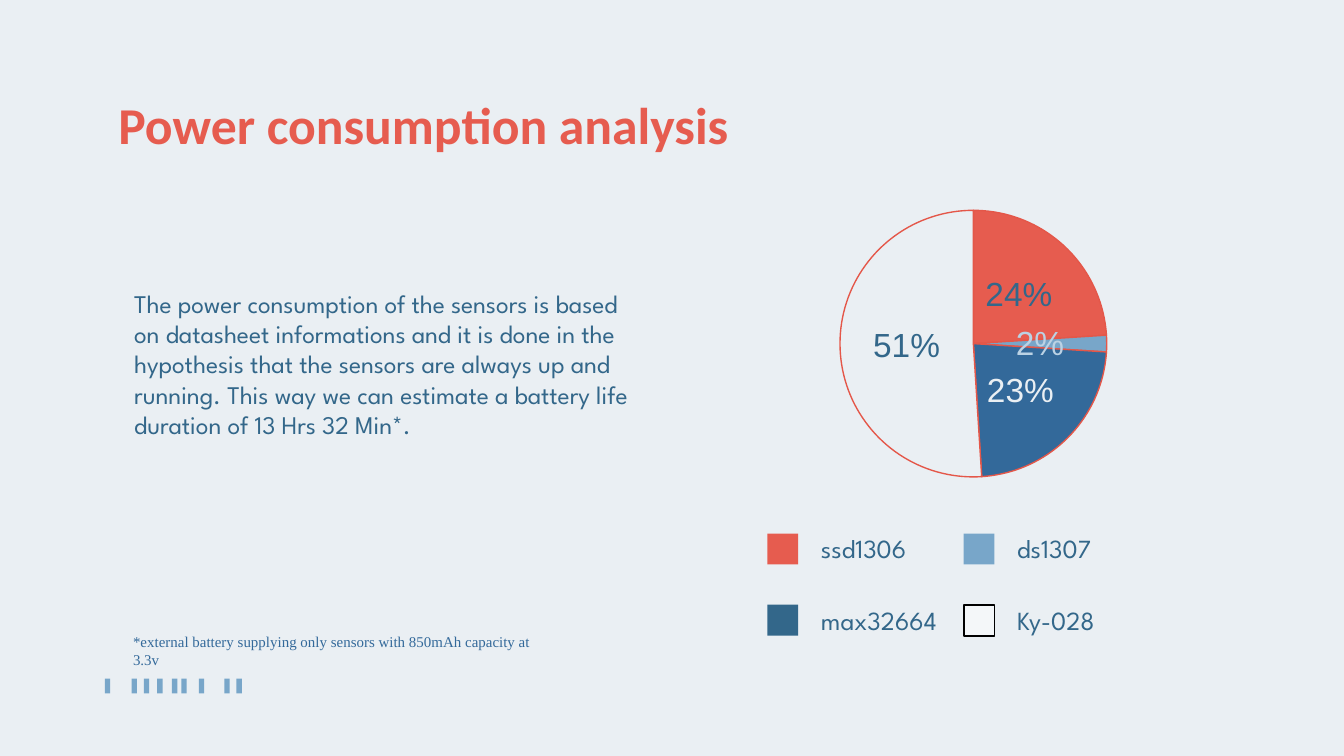
"""Build the power consumption slide with its pie chart and legend."""
from dataclasses import dataclass
from typing import Optional

from pptx import Presentation
from pptx.chart.data import CategoryChartData
from pptx.dml.color import RGBColor
from pptx.enum.chart import XL_CHART_TYPE, XL_LABEL_POSITION
from pptx.enum.shapes import MSO_SHAPE
from pptx.enum.text import MSO_ANCHOR, PP_ALIGN
from pptx.util import Inches, Pt

PIE = XL_CHART_TYPE.PIE
CENTER = XL_LABEL_POSITION.CENTER
RECTANGLE = MSO_SHAPE.RECTANGLE
TOP = MSO_ANCHOR.TOP
MIDDLE = MSO_ANCHOR.MIDDLE
LEFT = PP_ALIGN.LEFT

BACKGROUND = RGBColor(0xEA, 0xEF, 0xF3)
CORAL = RGBColor(0xE6, 0x5C, 0x4F)
OUTLINE = RGBColor(0xE4, 0x57, 0x49)
SKY = RGBColor(0x78, 0xA6, 0xC9)
PALE_SKY = RGBColor(0xBB, 0xD2, 0xE4)
TEAL = RGBColor(0x33, 0x67, 0x8A)
BLUE = RGBColor(0x33, 0x69, 0x9A)
ICE = RGBColor(0xF4, 0xF7, 0xF9)
BLACK = RGBColor(0, 0, 0)

SLIDE_WIDTH = Inches(10)
SLIDE_HEIGHT = SLIDE_WIDTH * 9 // 16
BODY_FONT = "League Spartan"
BAR_LEFTS = (0.78, 0.98, 1.07, 1.17, 1.28, 1.35, 1.48, 1.67, 1.76)
BODY_TEXT = (
    "The power consumption of the sensors is based on datasheet informations "
    "and it is done in the hypothesis that the sensors are always up and running. "
    "This way we can estimate a battery life duration of 13 Hrs 32 Min*."
)
FOOTNOTE = "*external battery supplying only sensors with 850mAh capacity at 3.3v"


@dataclass(frozen=True)
class Sensor:
    name: str
    share: int
    slice_color: RGBColor
    label_color: RGBColor
    swatch_color: RGBColor
    column: int
    row: int
    border: Optional[RGBColor] = None


SENSORS = (
    Sensor("ssd1306", 24, CORAL, TEAL, CORAL, 0, 0),
    Sensor("ds1307", 2, SKY, PALE_SKY, SKY, 1, 0),
    Sensor("max32664", 23, BLUE, BACKGROUND, TEAL, 0, 1),
    Sensor("Ky-028", 51, BACKGROUND, TEAL, ICE, 1, 1, BLACK),
)


def add_box(slide, left: float, top: float, width: float, height: float,
            color: RGBColor, border: Optional[RGBColor] = None) -> None:
    shape = slide.shapes.add_shape(
        RECTANGLE, Inches(left), Inches(top), Inches(width), Inches(height))
    shape.shadow.inherit = False
    shape.fill.solid()
    shape.fill.fore_color.rgb = color
    if border is None:
        shape.line.fill.background()
    else:
        shape.line.color.rgb = border
        shape.line.width = Pt(1)


def write_text(shape, text: str, size: float, font_name: str, color: RGBColor,
               margin: float = 0.1, anchor: MSO_ANCHOR = TOP, bold: bool = False):
    frame = shape.text_frame
    frame.word_wrap = True
    frame.vertical_anchor = anchor
    frame.margin_left = frame.margin_right = Inches(margin)
    frame.margin_top = frame.margin_bottom = Inches(margin)
    paragraph = frame.paragraphs[0]
    paragraph.text = text
    paragraph.alignment = LEFT
    font = paragraph.font
    font.size, font.name, font.bold = Pt(size), font_name, bold
    font.color.rgb = color
    return paragraph


def add_text_box(slide, left: float, top: float, width: float, height: float):
    return slide.shapes.add_textbox(
        Inches(left), Inches(top), Inches(width), Inches(height))


def add_title(slide) -> None:
    title = slide.shapes.title
    title.left, title.top = Inches(0.78), Inches(0.59)
    title.width, title.height = Inches(8.49), Inches(0.67)
    write_text(title, "Power consumption analysis", 27.7, "Calibri", CORAL, bold=True)


def add_legend_entry(slide, sensor: Sensor) -> None:
    left = 5.71 + 1.46 * sensor.column
    top = 3.97 + 0.53 * sensor.row
    add_box(slide, left, top, 0.23, 0.23, sensor.swatch_color, sensor.border)
    label = add_text_box(slide, left + 0.3, top - 0.11, 1.5, 0.44)
    write_text(label, sensor.name, 14, BODY_FONT, TEAL, anchor=MIDDLE)


def fill_plot_area(chart) -> None:
    plot_area = chart.element.xpath(".//c:plotArea")[0]
    for layout in plot_area.xpath("c:layout"):
        plot_area.remove(layout)
    layout = plot_area.makeelement(plot_area.tag.replace("plotArea", "layout"), {})
    manual = layout.makeelement(layout.tag.replace("layout", "manualLayout"), {})
    layout.append(manual)
    settings = (("layoutTarget", "inner"), ("xMode", "edge"), ("yMode", "edge"),
                ("x", "0.01"), ("y", "0"), ("w", "0.99"), ("h", "0.99"))
    for name, value in settings:
        manual.append(manual.makeelement(
            layout.tag.replace("layout", name), {"val": value}))
    plot_area.insert(0, layout)


def add_pie(slide) -> None:
    data = CategoryChartData()
    data.categories = [str(number) for number in range(1, len(SENSORS) + 1)]
    data.add_series("Series 1", [sensor.share for sensor in SENSORS])
    chart = slide.shapes.add_chart(
        PIE, Inches(6.23), Inches(1.56), Inches(2.01), Inches(2.01), data).chart
    chart.has_legend = False
    chart.has_title = False
    chart.font.size, chart.font.name = Pt(10), "Arial"
    chart.font.color.rgb = TEAL
    chart.plots[0].vary_by_categories = True
    series = chart.plots[0].series[0]
    series.format.fill.solid()
    series.format.fill.fore_color.rgb = CORAL
    series.format.line.color.rgb = OUTLINE
    series.format.line.width = Pt(0.75)
    labels = series.data_labels
    labels.show_percentage = True
    labels.show_value = False
    labels.number_format, labels.number_format_is_linked = "#,##0%", False
    labels.position = CENTER
    labels.font.size, labels.font.name = Pt(18), "Arial"
    labels.font.color.rgb = TEAL
    for index, sensor in enumerate(SENSORS):
        point = series.points[index]
        point.format.fill.solid()
        point.format.fill.fore_color.rgb = sensor.slice_color
        point.format.line.color.rgb = OUTLINE
        point.format.line.width = Pt(0.75)
        label = point.data_label
        label.position = CENTER
        label.font.size, label.font.name = Pt(18), "Arial"
        label.font.color.rgb = sensor.label_color
    for element in chart.element.xpath(".//c:dLbl"):
        element.xpath("c:showVal")[0].set("val", "0")
        element.xpath("c:showPercent")[0].set("val", "1")
    fill_plot_area(chart)


def main() -> None:
    presentation = Presentation()
    presentation.slide_width, presentation.slide_height = SLIDE_WIDTH, SLIDE_HEIGHT
    slide = presentation.slides.add_slide(presentation.slide_layouts[5])
    slide.background.fill.solid()
    slide.background.fill.fore_color.rgb = BACKGROUND
    for left in BAR_LEFTS:
        add_box(slide, left, 5.05, 0.04, 0.11, SKY)
    add_title(slide)
    body = add_text_box(slide, 0.9, 2.04, 3.93, 1.55)
    write_text(body, BODY_TEXT, 13.6, BODY_FONT, TEAL).space_before = Pt(15)
    add_pie(slide)
    for sensor in SENSORS:
        add_legend_entry(slide, sensor)
    footnote = add_text_box(slide, 0.99, 4.71, 3.1, 0.28)
    write_text(footnote, FOOTNOTE, 8, "Times New Roman", BLUE, margin=0)
    presentation.save("out.pptx")


if __name__ == "__main__":
    main()
